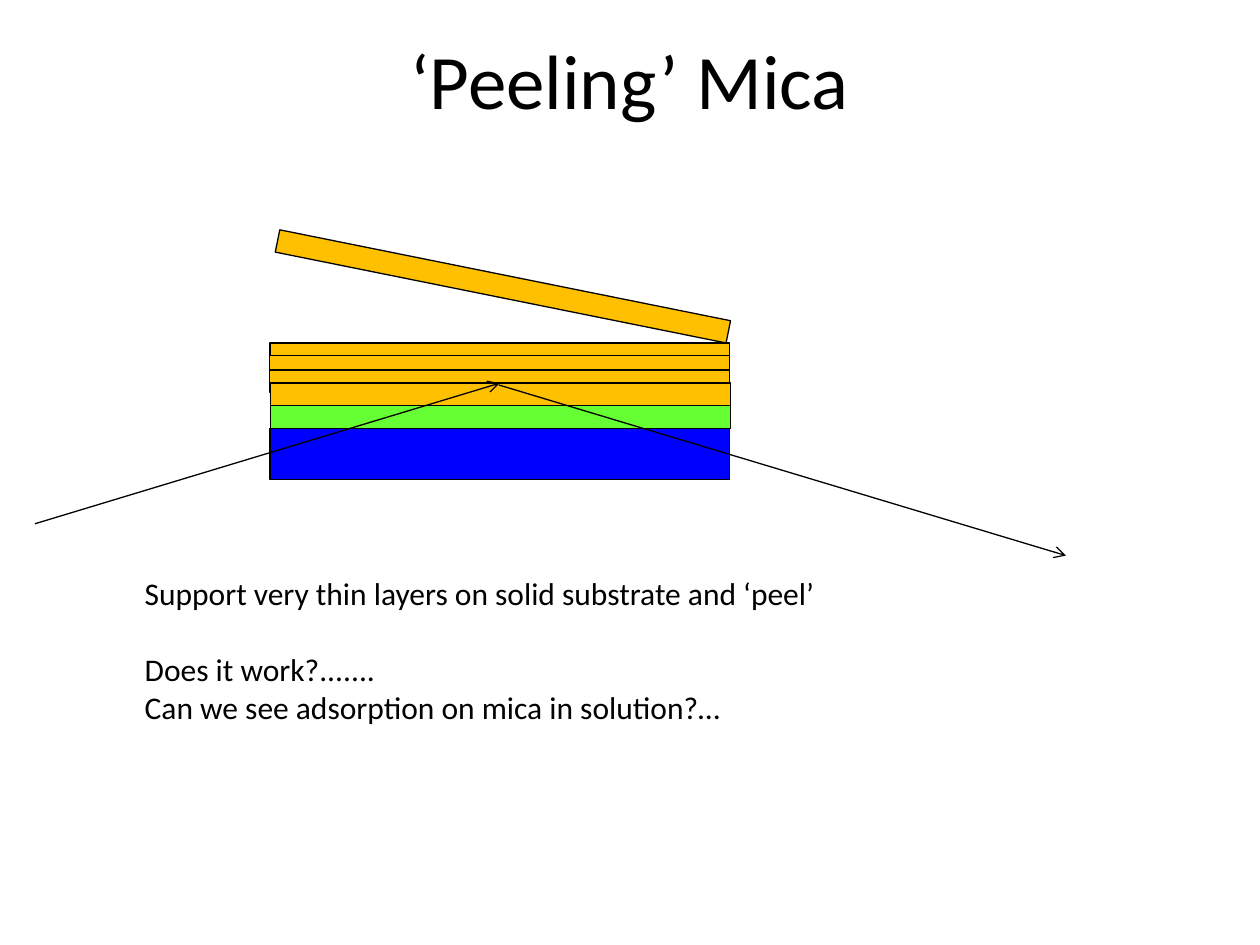
from dataclasses import dataclass

from lxml import etree
from pptx import Presentation
from pptx.dml.color import RGBColor
from pptx.enum.shapes import MSO_CONNECTOR, MSO_SHAPE
from pptx.enum.text import MSO_ANCHOR, PP_ALIGN
from pptx.oxml.ns import qn
from pptx.util import Pt

RECTANGLE = MSO_SHAPE.RECTANGLE
STRAIGHT = MSO_CONNECTOR.STRAIGHT
MIDDLE = MSO_ANCHOR.MIDDLE
LEFT, CENTER = PP_ALIGN.LEFT, PP_ALIGN.CENTER


@dataclass(frozen=True)
class Theme:
    font: str = "Calibri"
    title_size: int = 44
    body_size: int = 18
    line_width: float = 0.75
    ink: RGBColor = RGBColor(0, 0, 0)
    silicon: RGBColor = RGBColor(0x00, 0x00, 0xFF)
    glue: RGBColor = RGBColor(0x66, 0xFF, 0x33)
    mica: RGBColor = RGBColor(0xFF, 0xC0, 0x00)


theme = Theme()
deck = Presentation()
deck.slide_width, deck.slide_height = Pt(720), Pt(540)
page = deck.slides.add_slide(deck.slide_layouts[6])


def add_text(left, top, width, height, lines, size, align):
    box = page.shapes.add_textbox(Pt(left), Pt(top), Pt(width), Pt(height))
    frame = box.text_frame
    frame.text = "\n".join(lines)
    for para in frame.paragraphs:
        para.alignment = align
        for span in para.runs:
            span.font.name = theme.font
            span.font.size = Pt(size)
            span.font.color.rgb = theme.ink
    return frame


title = add_text(54, 0, 612, 90, ["‘Peeling’ Mica"], theme.title_size, CENTER)
title.word_wrap = True
title.vertical_anchor = MIDDLE

layer_width = 262.8
mica_height = 13
layers = [
    (154.2, 244.8, 29.4, theme.silicon, 0),
    (154.7, 226.8, 18, theme.glue, 0),
    (154.2, 196, mica_height, theme.mica, 0),
    (154, 203.2, mica_height, theme.mica, 0),
    (154, 211.5, mica_height, theme.mica, 0),
    (154.7, 218.8, mica_height, theme.mica, 0),
    (156, 157.2, mica_height, theme.mica, 11.4),
]
for left, top, height, color, angle in layers:
    layer = page.shapes.add_shape(RECTANGLE, Pt(left), Pt(top), Pt(layer_width), Pt(height))
    layer.rotation = angle
    layer.shadow.inherit = False
    layer.fill.solid()
    layer.fill.fore_color.rgb = color
    layer.line.color.rgb = theme.ink
    layer.line.width = Pt(theme.line_width)

questions = add_text(
    75.6, 324.7, 402.5, 94.3,
    [
        "Support very thin layers on solid substrate and ‘peel’",
        "Does it work?.......",
        "Can we see adsorption on mica in solution?…",
    ],
    theme.body_size, LEFT,
)
questions.word_wrap = False
questions.paragraphs[1].space_before = Pt(21.6)

beams = [(20, 299.3, 285.5, 219), (285.1, 220, 609.1, 317.5)]
for start_x, start_y, end_x, end_y in beams:
    beam = page.shapes.add_connector(STRAIGHT, Pt(start_x), Pt(start_y), Pt(end_x), Pt(end_y))
    beam.line.color.rgb = theme.ink
    beam.line.width = Pt(theme.line_width)
    etree.SubElement(beam.line._get_or_add_ln(), qn("a:tailEnd"), type="arrow")
    etree.SubElement(beam._element.spPr, qn("a:effectLst"))

deck.save("out.pptx")
